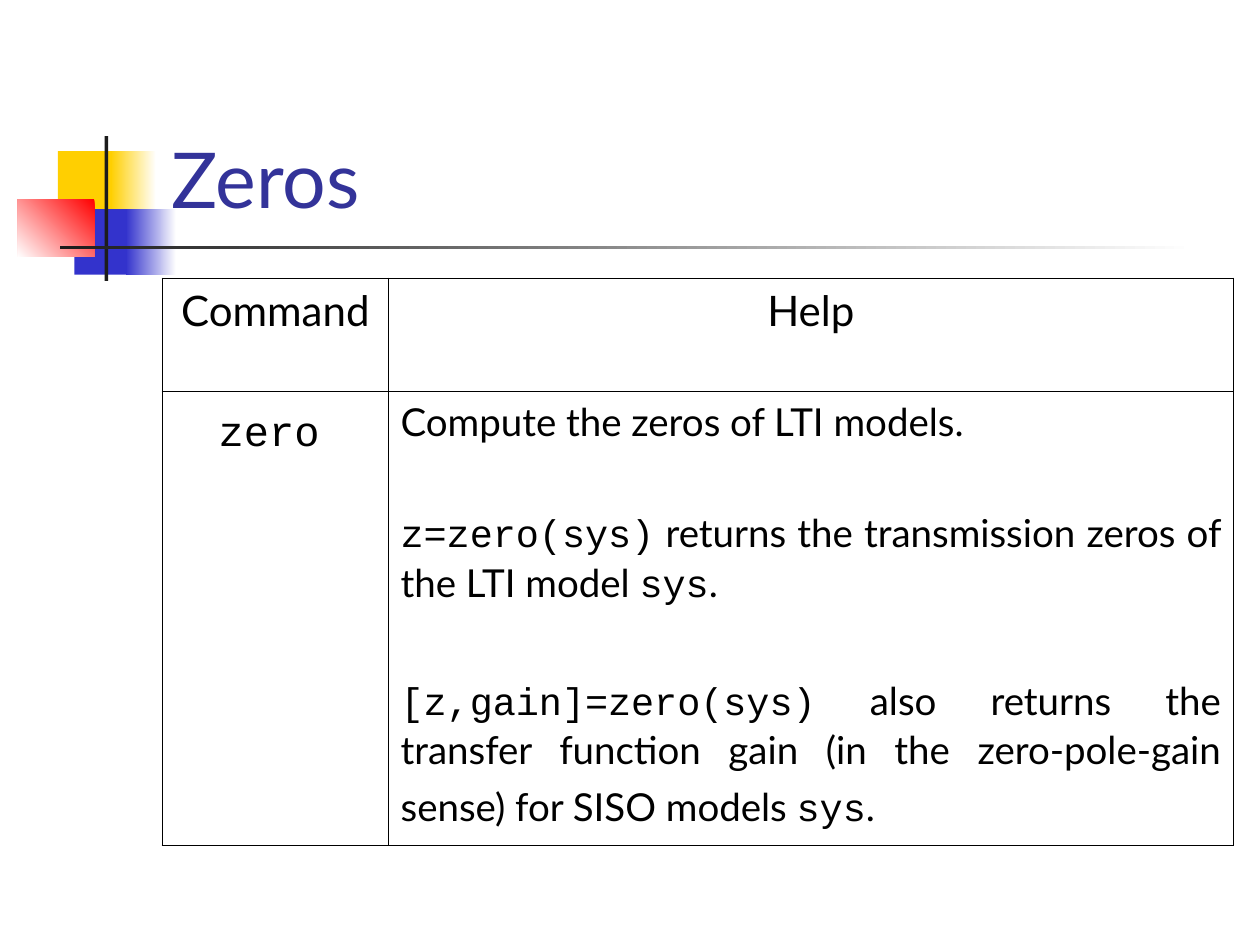
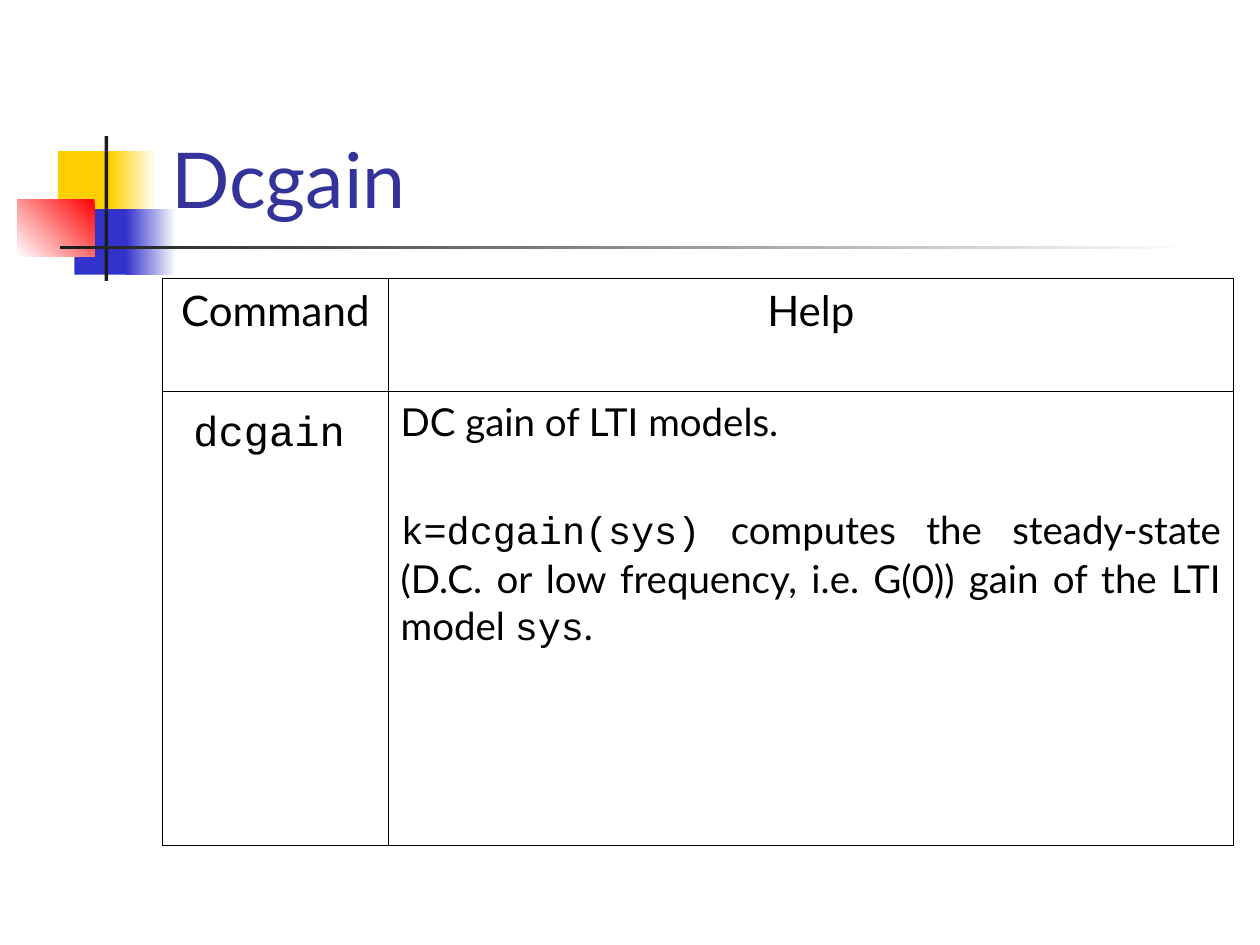
import pptx
import pptx.dml.color
import pptx.enum.shapes
import pptx.enum.text
import pptx.oxml
import pptx.oxml.ns
import pptx.util

Inches = pptx.util.Inches
Pt = pptx.util.Pt
RGBColor = pptx.dml.color.RGBColor
Align = pptx.enum.text.PP_ALIGN

WHITE = RGBColor(0xFF, 0xFF, 0xFF)
BLACK = RGBColor(0x00, 0x00, 0x00)
YELLOW = RGBColor(0xFF, 0xCF, 0x01)
BLUE = RGBColor(0x33, 0x33, 0xCC)
RED = RGBColor(0xFF, 0x00, 0x00)
CHARCOAL = RGBColor(0x1C, 0x1C, 0x1C)
TITLE_BLUE = RGBColor(0x33, 0x33, 0x99)

TEXT_FONT = "Lato"
CODE_FONT = "Courier New"
OUTER_LINE = 1.08
INNER_LINE = 0.45

TITLE_BOX = (1.26, 0.23, 8.52, 1.6)
TABLE_BOX = (1.29, 2.21, 8.5, 4.5)
COLUMN_WIDTHS = (1.79, 6.71)
ROW_HEIGHTS = (0.9, 3.6)

# box, colours (one for solid, two for a gradient), counter-clockwise angle
ORNAMENT = [
    ((0.46, 1.2, 0.48, 0.52), (YELLOW,), 0),
    ((0.88, 1.2, 0.36, 0.52), (WHITE, YELLOW), 180),
    ((0.59, 1.66, 0.46, 0.52), (BLUE,), 0),
    ((1, 1.66, 0.4, 0.52), (WHITE, BLUE), 180),
    ((0.14, 1.58, 0.61, 0.46), (RED, WHITE), 225),
    ((0.83, 1.08, 0.03, 1.15), (CHARCOAL,), 0),
    ((0.48, 1.95, 9, 0.03), (WHITE, CHARCOAL), 180),
]

# Each help paragraph: text with code between backticks, and space before it
COMMANDS = [
    ("Zeros", "zero", [
        ("Compute the zeros of LTI models.", 5.5),
        ("`z=zero(sys)` returns the transmission zeros of the LTI model `sys`.", 37.5),
        ("`[z,gain]=zero(sys)` also returns the transfer function gain "
         "(in the zero-pole-gain sense) for SISO models `sys`.", 39),
    ], True),
    ("Dcgain", "dcgain", [
        ("DC gain of LTI models.", 5.5),
        ("`k=dcgain(sys)` computes the steady-state (D.C. or low frequency, "
         "i.e. G(0)) gain of the LTI model `sys`.", 35.5),
    ], False),
]


def add_ornament(page):
    for box, colours, angle in ORNAMENT:
        block = page.shapes.add_shape(
            pptx.enum.shapes.MSO_SHAPE.RECTANGLE, *map(Inches, box))
        block.shadow.inherit = False
        block.line.fill.background()
        if len(colours) == 1:
            block.fill.solid()
            block.fill.fore_color.rgb = colours[0]
        else:
            block.fill.gradient()
            block.fill.gradient_angle = angle
            for stop, colour in zip(block.fill.gradient_stops, colours):
                stop.color.rgb = colour


def add_title(page, box, text):
    frame = page.shapes.add_textbox(*map(Inches, box)).text_frame
    frame.word_wrap = True
    frame.vertical_anchor = pptx.enum.text.MSO_ANCHOR.BOTTOM
    write(frame.paragraphs[0], text, 44, colour=TITLE_BLUE)


def write(paragraph, text, size, align=Align.LEFT, before=0, colour=BLACK):
    """Fill a paragraph, setting the parts between backticks in the code font."""
    paragraph.alignment = align
    paragraph.space_before = Pt(before)
    paragraph.font.size = Pt(size)
    paragraph.font.color.rgb = colour
    for index, part in enumerate(text.split("`")):
        if part:
            span = paragraph.add_run()
            span.text = part
            span.font.name = CODE_FONT if index % 2 else TEXT_FONT


def add_tall_space(paragraph):
    """End the line with a larger space, which raises the line height."""
    span = paragraph.add_run()
    span.text = " "
    span.font.name = TEXT_FONT
    span.font.size = Pt(28)


def set_borders(cell, row, column):
    """Draw thick lines on the outside of the 2 by 2 grid, thin ones inside."""
    outer = {"L": column == 0, "R": column == 1, "T": row == 0, "B": row == 1}
    properties = cell._tc.get_or_add_tcPr()
    for side, is_outer in outer.items():
        width = Pt(OUTER_LINE if is_outer else INNER_LINE)
        properties.append(pptx.oxml.parse_xml(
            f'<a:ln{side} {pptx.oxml.ns.nsdecls("a")} w="{width}"><a:solidFill>'
            f'<a:srgbClr val="{BLACK}"/></a:solidFill></a:ln{side}>'))
    cell.fill.background()


def add_command_table(page, box, command, help_texts, tall_ending):
    table = page.shapes.add_table(2, 2, *map(Inches, box)).table
    table.first_row = table.horz_banding = False
    for column, width in zip(table.columns, COLUMN_WIDTHS):
        column.width = Inches(width)
    for row, height in zip(table.rows, ROW_HEIGHTS):
        row.height = Inches(height)
    for row in range(2):
        for column in range(2):
            set_borders(table.cell(row, column), row, column)

    for column, heading in enumerate(("Command", "Help")):
        write(table.cell(0, column).text_frame.paragraphs[0], heading, 24,
              Align.CENTER, 6)
    name = table.cell(1, 0).text_frame.paragraphs[0]
    write(name, f"`{command}`", 24, Align.CENTER, 7)
    add_tall_space(name)

    frame = table.cell(1, 1).text_frame
    for index, (text, before) in enumerate(help_texts):
        paragraph = frame.add_paragraph() if index else frame.paragraphs[0]
        write(paragraph, text, 22, Align.JUSTIFY, before)
    if tall_ending:
        add_tall_space(paragraph)


def main():
    deck = pptx.Presentation()
    deck.slide_width, deck.slide_height = Inches(10), Inches(7.5)
    for title, command, help_texts, tall_ending in COMMANDS:
        page = deck.slides.add_slide(deck.slide_layouts[6])
        add_ornament(page)
        add_title(page, TITLE_BOX, title)
        add_command_table(page, TABLE_BOX, command, help_texts, tall_ending)
    deck.save("out.pptx")


if __name__ == "__main__":
    main()
